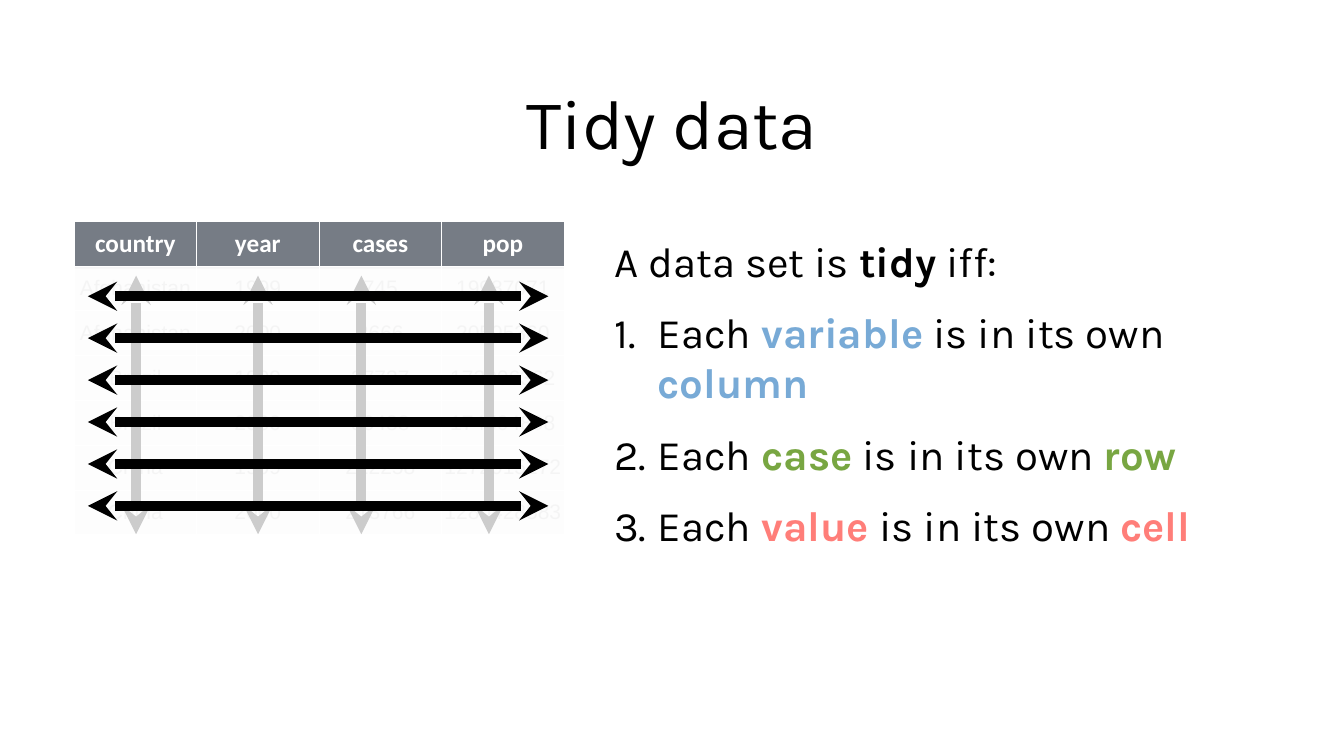
from typing import Any, NamedTuple

from lxml.etree import SubElement
from pptx import Presentation
from pptx.dml.color import RGBColor
from pptx.enum.shapes import MSO_CONNECTOR as Connector, MSO_SHAPE as Preset
from pptx.enum.text import MSO_ANCHOR as Anchor, MSO_AUTO_SIZE as AutoSize, PP_ALIGN as Align
from pptx.oxml.ns import qn
from pptx.util import Pt

BLACK = RGBColor(0x00, 0x00, 0x00)
WHITE = RGBColor(0xFF, 0xFF, 0xFF)
HEADER_GRAY = RGBColor(0x76, 0x7C, 0x85)
CELL_GRAY = RGBColor(0xD0, 0xD1, 0xD2)
BLUE = RGBColor(0x78, 0xAA, 0xD6)
GREEN = RGBColor(0x78, 0xA6, 0x42)
CORAL = RGBColor(0xFF, 0x7E, 0x79)

INSET = Pt(4)
INSETS = dict(margin_left=INSET, margin_right=INSET, margin_top=INSET, margin_bottom=INSET)
TITLE_FONT = dict(name="Karla", size=Pt(100), bold=False)
BODY_FONT = dict(name="Karla", size=Pt(60), bold=False)
HEADER_FONT = dict(name="Calibri", size=Pt(36), bold=True)
CELL_FONT = dict(name="Arial", size=Pt(30), bold=False)


class Box(NamedTuple):
    left: float
    top: float
    width: float
    height: float


class Rule(NamedTuple):
    subject: str
    place: str
    color: RGBColor


class Line(NamedTuple):
    x1: float
    y1: float
    x2: float
    y2: float


TITLE_BOX = Box(315.4, 79.2, 1288.8, 188.6)
BODY_BOX = Box(873.4, 331.9, 985, 415.4)
TABLE_BOX = Box(105.84, 316, 700, 448)
COLUMN_VEIL = Box(96.5, 383.8, 709.2, 390.2)
ROW_VEIL = Box(105.1, 381.6, 702, 383)

RULES = [
    Rule("variable", "column", BLUE),
    Rule("case", "row", GREEN),
    Rule("value", "cell", CORAL),
]
ROWS = [
    ("country", "year", "cases", "pop"),
    ("Afghanistan", "1999", "745", "19987071"),
    ("Afghanistan", "2000", "2666", "20595360"),
    ("Brazil", "1999", "37737", "172006362"),
    ("Brazil", "2000", "80488", "174504898"),
    ("China", "1999", "212258", "1272915272"),
    ("China", "2000", "213766", "1280428583"),
]
COLUMN_LINES = [Line(x, 763.2, x, 393.8) for x in (194.4, 368.6, 516.2, 698.4)]
ROW_LINES = [Line(125.6, y, 783.4, y) for y in (423.2 + 59.9 * i for i in range(6))]


def apply(target: Any, formats: dict) -> None:
    for name, value in formats.items():
        setattr(target, name, value)


def points(values: tuple) -> list:
    return [Pt(value) for value in values]


def add_run(paragraph: Any, text: str, formats: dict, color: RGBColor = BLACK) -> None:
    run = paragraph.add_run()
    run.text = text
    apply(run.font, formats)
    run.font.color.rgb = color


def place(shape: Any, box: Box, anchor: Any) -> Any:
    """Move a placeholder and return its text frame."""
    apply(shape, dict(zip(box._fields, points(box))))
    frame = shape.text_frame
    apply(frame, dict(INSETS, word_wrap=True, auto_size=AutoSize.NONE, vertical_anchor=anchor))
    return frame


def set_list(paragraph: Any, numbered: bool) -> None:
    properties = paragraph._p.get_or_add_pPr()
    indent = Pt(62) if numbered else 0
    properties.set("marL", str(indent))
    properties.set("indent", str(-indent))
    if numbered:
        SubElement(properties, qn("a:buFontTx"))
        SubElement(properties, qn("a:buAutoNum"), type="arabicPeriod")
    else:
        SubElement(properties, qn("a:buNone"))


def add_rule(frame: Any, rule: Rule) -> None:
    paragraph = frame.add_paragraph()
    set_list(paragraph, True)
    paragraph.space_before = Pt(30)
    emphasis = dict(BODY_FONT, bold=True)
    add_run(paragraph, "Each ", BODY_FONT)
    add_run(paragraph, rule.subject, emphasis, rule.color)
    add_run(paragraph, " is in its own ", BODY_FONT)
    add_run(paragraph, rule.place, emphasis, rule.color)


def format_cell(cell: Any, text: str, header: bool) -> None:
    properties = cell._tc.get_or_add_tcPr()
    for side in ("lnL", "lnR", "lnT", "lnB"):
        border = SubElement(properties, qn(f"a:{side}"), w=str(Pt(1)))
        fill = SubElement(border, qn("a:solidFill"))
        SubElement(fill, qn("a:srgbClr"), val=str(WHITE))
    cell.fill.solid()
    cell.fill.fore_color.rgb = HEADER_GRAY if header else CELL_GRAY
    apply(cell, dict(INSETS, vertical_anchor=Anchor.MIDDLE))
    paragraph = cell.text_frame.paragraphs[0]
    paragraph.alignment = Align.CENTER
    add_run(paragraph, text, HEADER_FONT if header else CELL_FONT, WHITE if header else BLACK)


def add_data_table(slide: Any) -> None:
    table = slide.shapes.add_table(len(ROWS), len(ROWS[0]), *points(TABLE_BOX)).table
    apply(table, dict(first_row=False, horz_banding=False))
    for row_index, row in enumerate(ROWS):
        for column_index, text in enumerate(row):
            format_cell(table.cell(row_index, column_index), text, row_index == 0)


def add_arrow(group: Any, line: Line) -> None:
    arrow = group.shapes.add_connector(Connector.STRAIGHT, *points(line))
    arrow.line.color.rgb = BLACK
    arrow.line.width = Pt(14)
    outline = arrow.line._get_or_add_ln()
    for end in ("headEnd", "tailEnd"):
        SubElement(outline, qn(f"a:{end}"), type="stealth")
    SubElement(arrow._element.spPr, qn("a:effectLst"))


def add_arrow_layer(slide: Any, veil_box: Box, lines: list[Line]) -> None:
    """Fade what lies below with a translucent veil, then draw arrows on it."""
    group = slide.shapes.add_group_shape()
    veil = group.shapes.add_shape(Preset.RECTANGLE, *points(veil_box))
    veil.shadow.inherit = False
    veil.fill.solid()
    veil.fill.fore_color.rgb = WHITE
    color = veil._element.spPr.find(f"{qn('a:solidFill')}/{qn('a:srgbClr')}")
    SubElement(color, qn("a:alpha"), val="80000")
    veil.line.fill.background()
    for line in lines:
        add_arrow(group, line)


def main() -> None:
    presentation = Presentation()
    presentation.slide_width, presentation.slide_height = Pt(1920), Pt(1080)
    slide = presentation.slides.add_slide(presentation.slide_layouts[1])

    # Title
    title = place(slide.shapes.title, TITLE_BOX, Anchor.MIDDLE).paragraphs[0]
    title.alignment = Align.CENTER
    add_run(title, "Tidy data", TITLE_FONT)

    # Definition and numbered rules
    body = place(slide.placeholders[1], BODY_BOX, Anchor.TOP)
    intro = body.paragraphs[0]
    set_list(intro, False)
    intro.space_before = Pt(0)
    add_run(intro, "A data set is ", BODY_FONT)
    add_run(intro, "tidy", dict(BODY_FONT, bold=True))
    add_run(intro, " iff:", BODY_FONT)
    for rule in RULES:
        add_rule(body, rule)

    # Table, then arrows along its columns and rows
    add_data_table(slide)
    add_arrow_layer(slide, COLUMN_VEIL, COLUMN_LINES)
    add_arrow_layer(slide, ROW_VEIL, ROW_LINES)

    presentation.save("out.pptx")


if __name__ == "__main__":
    main()
